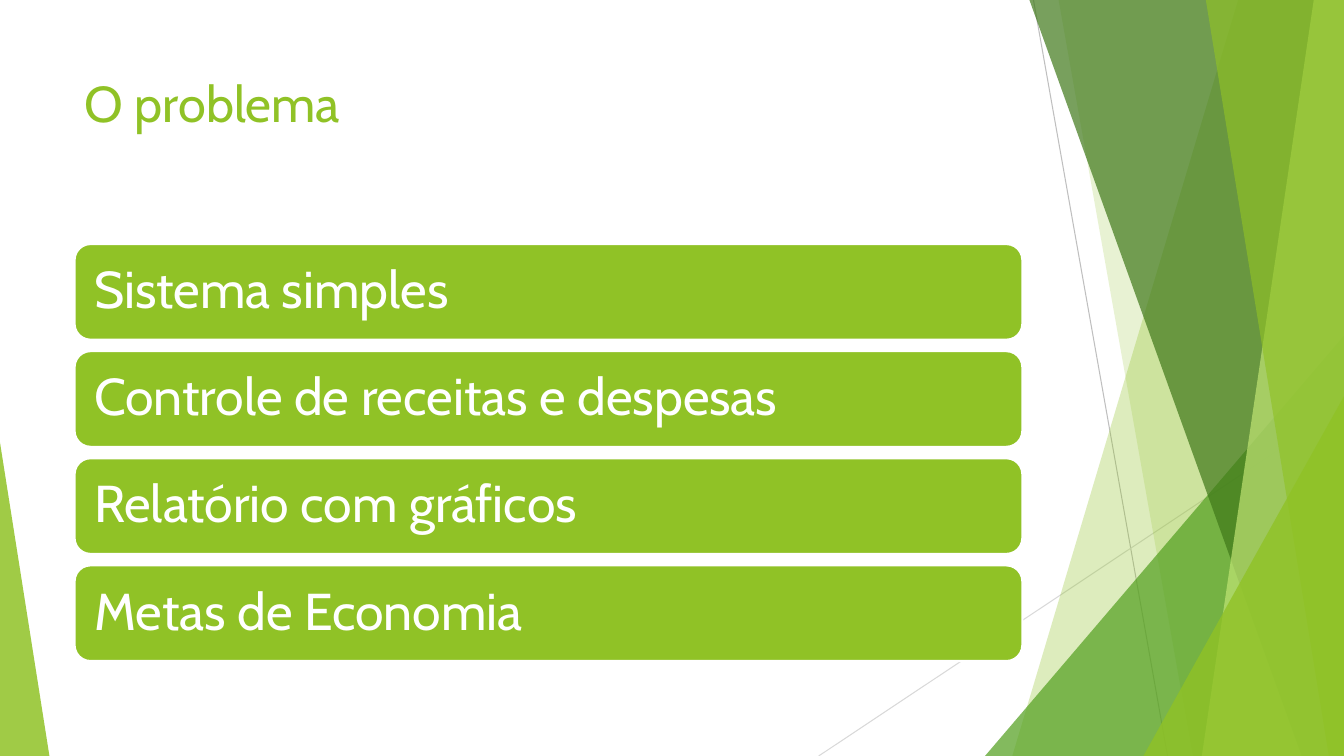
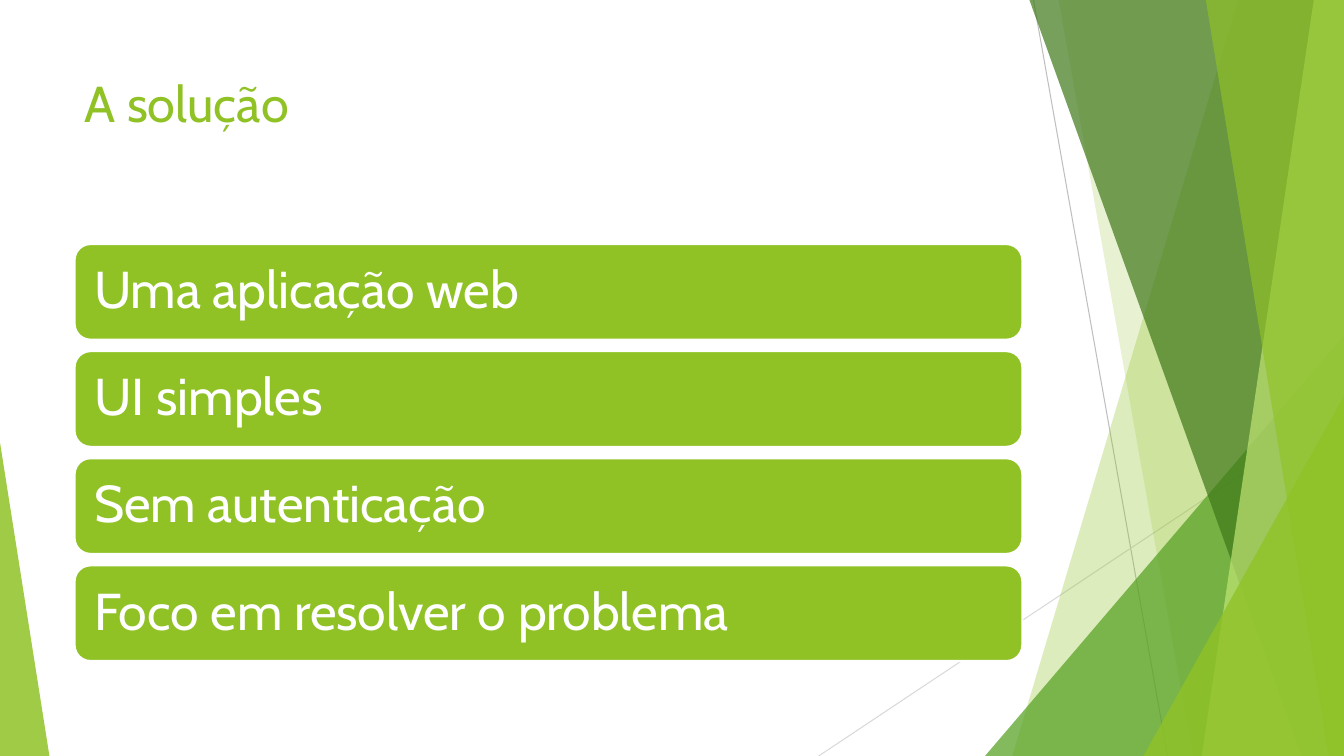
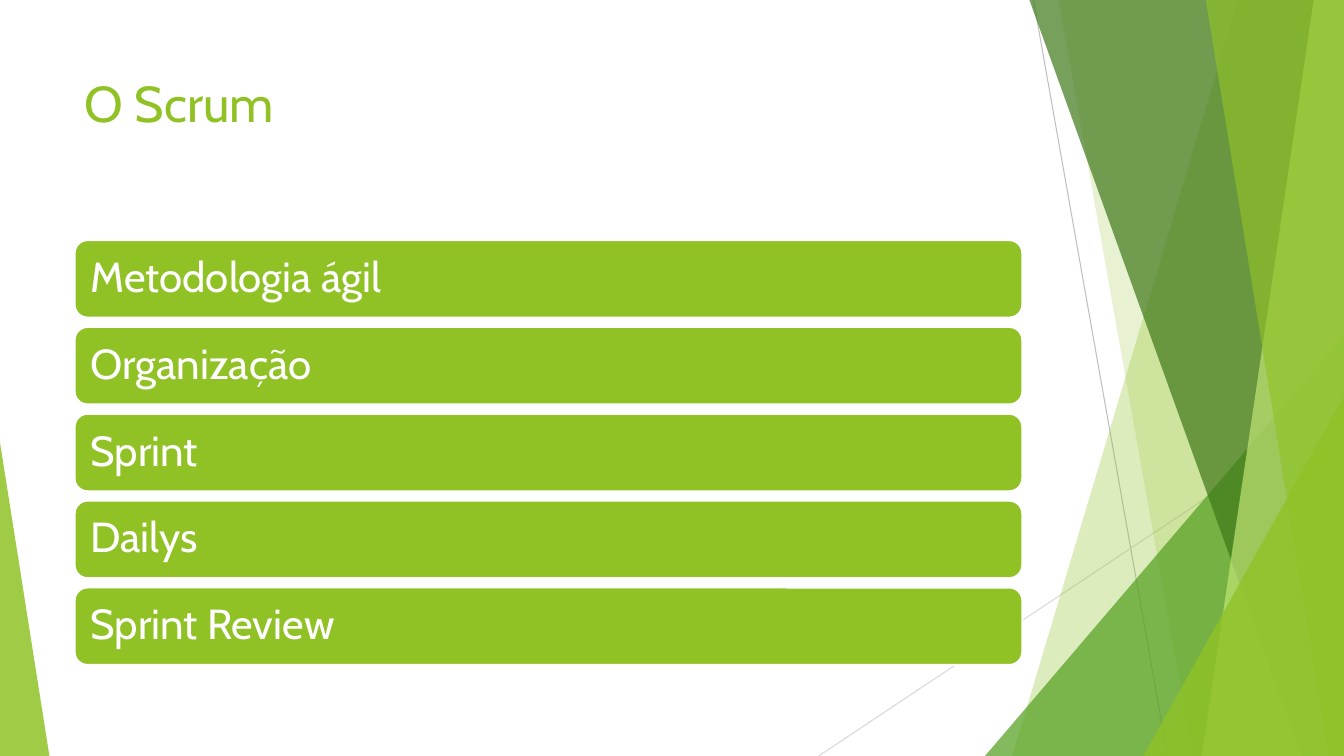
import lxml.etree
import pptx
import pptx.dml.color
import pptx.enum.shapes
import pptx.enum.text
import pptx.oxml.ns
import pptx.util

Inches = pptx.util.Inches
Pt = pptx.util.Pt
RGB = pptx.dml.color.RGBColor
qn = pptx.oxml.ns.qn
MSO_SHAPE = pptx.enum.shapes.MSO_SHAPE
ANCHOR = pptx.enum.text.MSO_ANCHOR
ALIGN = pptx.enum.text.PP_ALIGN

# Shared style
LIME = RGB(0x90, 0xC2, 0x26)
PALE_LIME = RGB(0xC0, 0xE4, 0x74)
GREEN = RGB(0x54, 0xA0, 0x21)
DARK_GREEN = RGB(0x3F, 0x78, 0x19)
GRAY = RGB(0xBF, 0xBF, 0xBF)
LIGHT_GRAY = RGB(0xD9, 0xD9, 0xD9)
WHITE = RGB(0xFF, 0xFF, 0xFF)
FONT = "Cabin"
WIDTH, HEIGHT = 13.33, 7.5
LEFT, CONTENT_WIDTH = 0.74, 9.4
LIST_MIDDLE = 4.49

# Title, text size of the list, items
TOPICS = [
    ("O problema", 37, ["Sistema simples", "Controle de receitas e despesas",
                        "Relatório com gráficos", "Metas de Economia"]),
    ("A solução", 37, ["Uma aplicação web", "UI simples",
                       "Sem autenticação", "Foco em resolver o problema"]),
    ("O Scrum", 30, ["Metodologia ágil", "Organização", "Sprint",
                     "Dailys", "Sprint Review"]),
]

# Backdrop, back to front: bands (top x, bottom x) reach the right edge,
# wedges (left, top, width, apex) stand on the bottom edge
BACKDROP = [
    ("band", (12.28, 10.04), LIME, 30),
    ("band", (10.5, 11.83), LIME, 20),
    ("wedge", (9.77, 3.33, 3.56, 1), GREEN, 72),
    ("band", (10.21, 12.91), DARK_GREEN, 70),
    ("band", (13.03, 11.92), PALE_LIME, 70),
    ("band", (11.96, 13.18), LIME, 65),
    ("wedge", (11.34, 3.93, 1.99, 1), LIME, 80),
    ("wedge", (0, 4.39, 0.49, 0), LIME, 85),
]
RAYS = [
    ((10.25, 0), (11.58, HEIGHT), GRAY),
    ((WIDTH, 4.03), (8.12, HEIGHT), LIGHT_GRAY),
]


def paint(shape, color, opacity):
    shape.shadow.inherit = False
    shape.fill.solid()
    shape.fill.fore_color.rgb = color
    shape.line.fill.background()
    tint = shape._element.spPr.find(qn("a:solidFill")).find(qn("a:srgbClr"))
    lxml.etree.SubElement(tint, qn("a:alpha"), val=str(opacity * 1000))


deck = pptx.Presentation()
deck.slide_width, deck.slide_height = Inches(WIDTH), Inches(HEIGHT)

# Layout: only the title, in its own place
layout = deck.slide_layouts.get_by_name("Title Only")
for holder in list(layout.placeholders):
    if holder.placeholder_format.idx == 0:
        holder.left, holder.top = Inches(LEFT), Inches(0.67)
        holder.width, holder.height = Inches(CONTENT_WIDTH), Inches(1.44)
    else:
        layout.shapes._spTree.remove(holder._element)

slides = [deck.slides.add_slide(layout) for _ in TOPICS]

# Backdrop: drawn as one group, then handed to the layout
backdrop = slides[0].shapes.add_group_shape()
for start, end, color in RAYS:
    ray = backdrop.shapes.add_connector(
        pptx.enum.shapes.MSO_CONNECTOR.STRAIGHT,
        *(Inches(v) for v in start + end))
    ray.line.color.rgb = color
    ray.line.width = Pt(0.75)
    lxml.etree.SubElement(ray._element.spPr, qn("a:effectLst"))

for kind, geometry, color, opacity in BACKDROP:
    if kind == "band":
        top_x, bottom_x = geometry
        outline = backdrop.shapes.build_freeform(Inches(top_x), 0)
        outline.add_line_segments([
            (Inches(WIDTH), 0), (Inches(WIDTH), Inches(HEIGHT)),
            (Inches(bottom_x), Inches(HEIGHT))])
        piece = outline.convert_to_shape()
    else:
        left, top, width, apex = geometry
        piece = backdrop.shapes.add_shape(
            MSO_SHAPE.ISOSCELES_TRIANGLE, Inches(left), Inches(top),
            Inches(width), Inches(HEIGHT - top))
        piece.adjustments[0] = apex
    paint(piece, color, opacity)
layout.shapes._spTree.append(backdrop._element)

for slide, (heading, size, items) in zip(slides, TOPICS):
    # Title
    title = slide.shapes.title
    title.text = heading
    title.text_frame.vertical_anchor = ANCHOR.TOP
    line = title.text_frame.paragraphs[0]
    line.alignment = ALIGN.LEFT
    line.font.name, line.font.size = FONT, Pt(36)
    line.font.color.rgb = LIME

    # List of bars, scaled with the text and centred on one height
    bar_height = size / 39
    gap = 0.12 * bar_height
    list_height = len(items) * (bar_height + gap) - gap
    for row, item in enumerate(items):
        bar_top = LIST_MIDDLE - list_height / 2 + row * (bar_height + gap)
        bar = slide.shapes.add_shape(
            MSO_SHAPE.ROUNDED_RECTANGLE, Inches(LEFT), Inches(bar_top),
            Inches(CONTENT_WIDTH), Inches(bar_height))
        bar.shadow.inherit = False
        bar.fill.solid()
        bar.fill.fore_color.rgb = LIME
        bar.line.color.rgb = WHITE
        bar.line.width = Pt(1.5)

        frame = bar.text_frame
        frame.text = item
        frame.word_wrap = True
        frame.vertical_anchor = ANCHOR.MIDDLE
        frame.margin_left = frame.margin_right = Inches(0.004 * size)
        frame.margin_top = frame.margin_bottom = Inches(0.004 * size)
        label = frame.paragraphs[0]
        label.alignment = ALIGN.LEFT
        label.line_spacing = 0.9
        label.font.name, label.font.size = FONT, Pt(size)
        label.font.color.rgb = WHITE

deck.save("out.pptx")
